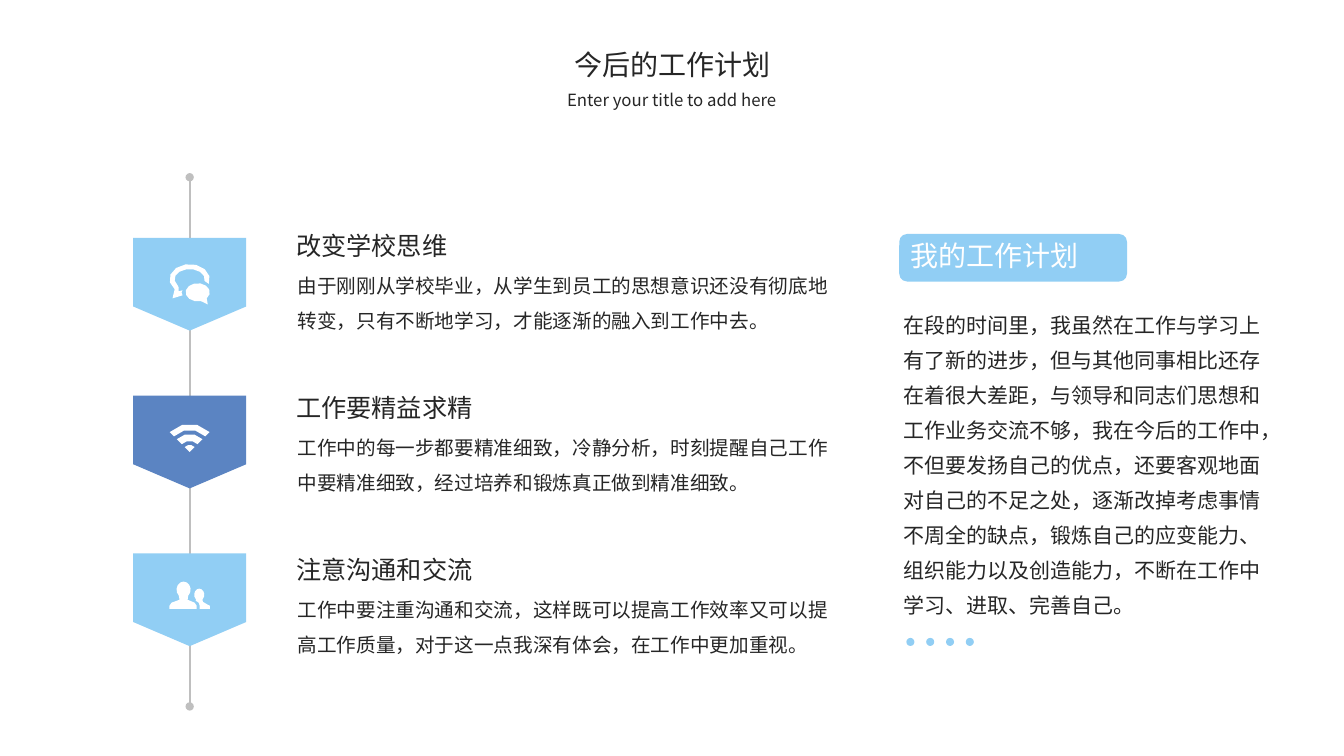
from dataclasses import dataclass
from math import ceil, cos, radians, sin

from lxml.etree import SubElement
from pptx import Presentation
from pptx.dml.color import RGBColor
from pptx.enum.shapes import MSO_CONNECTOR, MSO_SHAPE
from pptx.enum.text import MSO_ANCHOR, PP_ALIGN
from pptx.oxml.ns import qn
from pptx.shapes.autoshape import Shape
from pptx.slide import Slide
from pptx.util import Emu, Pt

Point = tuple[float, float]
Outline = list[Point]

COLUMNS, ROWS = 160, 90
CELL = 76200
ARC_STEP = 30


@dataclass(frozen=True)
class Theme:
    font: str = "Noto Sans CJK SC"
    ink: str = "262626"
    sky: str = "91CEF4"
    blue: str = "5B84C2"
    rail: str = "BFBFBF"
    white: str = "FFFFFF"
    title: float = 20
    subtitle: float = 12
    heading: float = 18
    body: float = 14
    summary: float = 15
    leading: float = 25
    rail_width: float = 1.5


@dataclass(frozen=True)
class Box:
    col: float
    row: float
    cols: float
    rows: float

    def emu(self) -> tuple[Emu, Emu, Emu, Emu]:
        return cells(self.col), cells(self.row), cells(self.cols), cells(self.rows)


@dataclass(frozen=True)
class Label:
    text: str
    box: Box
    size: float
    color: str
    align: PP_ALIGN = PP_ALIGN.LEFT
    leading: float | None = None


@dataclass(frozen=True)
class Step:
    heading: str
    body: str
    color: str
    icon: list[Outline]


def cells(n: float) -> Emu:
    return Emu(round(n * CELL))


def arc(cx: float, cy: float, rx: float, ry: float, start: float, end: float) -> Outline:
    n = ceil(abs(end - start) / ARC_STEP)
    angles = [radians(start + (end - start) * i / n) for i in range(n + 1)]
    return [(cx + rx * cos(a), cy + ry * sin(a)) for a in angles]


def wifi_arc(radius: float, start: float, end: float) -> Outline:
    return arc(0, 1.2, radius, radius, start, end)


def wifi_band(outer: float, inner: float) -> Outline:
    return wifi_arc(outer, -135, -45) + wifi_arc(inner, -45, -135)


THEME = Theme()
RAIL_COL = 22.58
TAG_ROW, TAG_PITCH = 33.84, 18.78
TEXT_ROW, TEXT_PITCH = 26.88, 19.26

CHAT = [
    arc(0, -0.6, 2.4, 1.8, 18, -222)
    + [(-2.04, 1.68), (-0.84, 1.32), (-0.96, 0.96), (-0.84, 0.72), (-1.32, 0.84), (-1.32, 0.36)]
    + arc(0, -0.6, 1.8, 1.2, -217, 10),
    arc(0.96, 0.96, 1.44, 1.08, 42, -285) + [(2.16, 2.4)],
]
WIFI = [wifi_arc(0.84, -135, -45) + [(0, 1.2)], wifi_band(2.16, 1.32), wifi_band(3.36, 2.64)]
PEOPLE = [
    arc(-0.72, -1.2, 0.84, 0.96, 48, -228)
    + [(-1.2, 0), (-2.16, 0.36), (-2.4, 0.72), (-2.4, 1.08)]
    + [(0.84, 1.08), (0.84, 0.72), (0.6, 0.36), (-0.24, 0)],
    arc(1.14, -0.6, 0.6, 0.72, 48, -228)
    + [(0.72, 0.12), (1.08, 0.36), (1.2, 0.72), (1.2, 1.08)]
    + [(2.4, 1.08), (2.4, 0.72), (2.16, 0.6), (1.56, 0.24)],
]

STEPS = [
    Step(
        "改变学校思维",
        "由于刚刚从学校毕业，从学生到员工的思想意识还没有彻底地转变，只有不断地学习，才能逐渐的融入到工作中去。",
        THEME.sky,
        CHAT,
    ),
    Step(
        "工作要精益求精",
        "工作中的每一步都要精准细致，冷静分析，时刻提醒自己工作中要精准细致，经过培养和锻炼真正做到精准细致。",
        THEME.blue,
        WIFI,
    ),
    Step(
        "注意沟通和交流",
        "工作中要注重沟通和交流，这样既可以提高工作效率又可以提高工作质量，对于这一点我深有体会，在工作中更加重视。",
        THEME.sky,
        PEOPLE,
    ),
]
SUMMARY = (
    "在段的时间里，我虽然在工作与学习上有了新的进步，但与其他同事相比还存在着很大差距，"
    "与领导和同志们思想和工作业务交流不够，我在今后的工作中，不但要发扬自己的优点，"
    "还要客观地面对自己的不足之处，逐渐改掉考虑事情不周全的缺点，锻炼自己的应变能力、"
    "组织能力以及创造能力，不断在工作中学习、进取、完善自己。"
)
LABELS = [
    Label("今后的工作计划", Box(65.64, 5.04, 28.92, 5.28), THEME.title, THEME.ink, PP_ALIGN.CENTER),
    Label("Enter your title to add here", Box(63.84, 10.08, 32.28, 3.6),
          THEME.subtitle, THEME.ink, PP_ALIGN.CENTER),
    Label("我的工作计划", Box(107.16, 27.78, 25.2, 5.28), THEME.title, THEME.white, PP_ALIGN.JUSTIFY),
    Label(SUMMARY, Box(106.38, 35.4, 45.12, 39.12), THEME.summary, THEME.ink, leading=THEME.leading),
]


def paint(sp: Shape, color: str) -> Shape:
    sp.shadow.inherit = False
    sp.fill.solid()
    sp.fill.fore_color.rgb = RGBColor.from_string(color)
    sp.line.fill.background()
    return sp


def add_preset(s: Slide, kind: MSO_SHAPE, box: Box, color: str) -> Shape:
    return paint(s.shapes.add_shape(kind, *box.emu()), color)


def add_label(s: Slide, label: Label) -> None:
    tf = s.shapes.add_textbox(*label.box.emu()).text_frame
    tf.word_wrap = True
    tf.vertical_anchor = MSO_ANCHOR.TOP
    p = tf.paragraphs[0]
    p.alignment = label.align
    if label.leading:
        p.line_spacing = Pt(label.leading)
    p.font.size = Pt(label.size)
    p.font.name = THEME.font
    p.font.color.rgb = RGBColor.from_string(label.color)
    r = p.add_run()
    r.text = label.text
    SubElement(r._r.get_or_add_rPr(), qn("a:ea"), typeface=THEME.font)


def add_rail(s: Slide) -> None:
    x = cells(RAIL_COL)
    rail = s.shapes.add_connector(MSO_CONNECTOR.STRAIGHT, x, cells(21.1), x, cells(84.1))
    rail.line.color.rgb = RGBColor.from_string(THEME.rail)
    rail.line.width = Pt(THEME.rail_width)
    ln = rail.line._get_or_add_ln()
    for end in ("a:headEnd", "a:tailEnd"):
        SubElement(ln, qn(end), type="oval")
    SubElement(rail._element.spPr, qn("a:effectLst"))


def add_icon(s: Slide, icon: list[Outline], col: float, row: float) -> None:
    group = s.shapes.add_group_shape()
    for outline in icon:
        points = [(cells(col + x), cells(row + y)) for x, y in outline]
        builder = group.shapes.build_freeform(*points[0])
        builder.add_line_segments(points[1:], close=True)
        paint(builder.convert_to_shape(), THEME.white)


def add_step(s: Slide, step: Step, index: int) -> None:
    row = TAG_ROW + index * TAG_PITCH
    tag = add_preset(s, MSO_SHAPE.PENTAGON, Box(RAIL_COL - 5.52, row - 6.72, 11.04, 13.44), step.color)
    tag.rotation = 90
    tag.adjustments[0] = 0.26
    add_icon(s, step.icon, RAIL_COL, row)
    top = TEXT_ROW + index * TEXT_PITCH
    add_label(s, Label(step.body, Box(34.24, top + 3.8, 66.1, 9.12),
                       THEME.body, THEME.ink, leading=THEME.leading))
    add_label(s, Label(step.heading, Box(34.08, top, 31.68, 4.8), THEME.heading, THEME.ink))


def main() -> None:
    prs = Presentation()
    prs.slide_width, prs.slide_height = cells(COLUMNS), cells(ROWS)
    s = prs.slides.add_slide(prs.slide_layouts[6])
    add_preset(s, MSO_SHAPE.ROUNDED_RECTANGLE, Box(107.06, 27.86, 27.12, 5.66), THEME.sky)
    add_rail(s)
    for index, step in enumerate(STEPS):
        add_step(s, step, index)
    for label in LABELS:
        add_label(s, label)
    for index in range(4):
        add_preset(s, MSO_SHAPE.OVAL, Box(107.9 + index * 2.36, 75.94, 0.96, 0.96), THEME.sky)
    prs.save("out.pptx")


if __name__ == "__main__":
    main()
